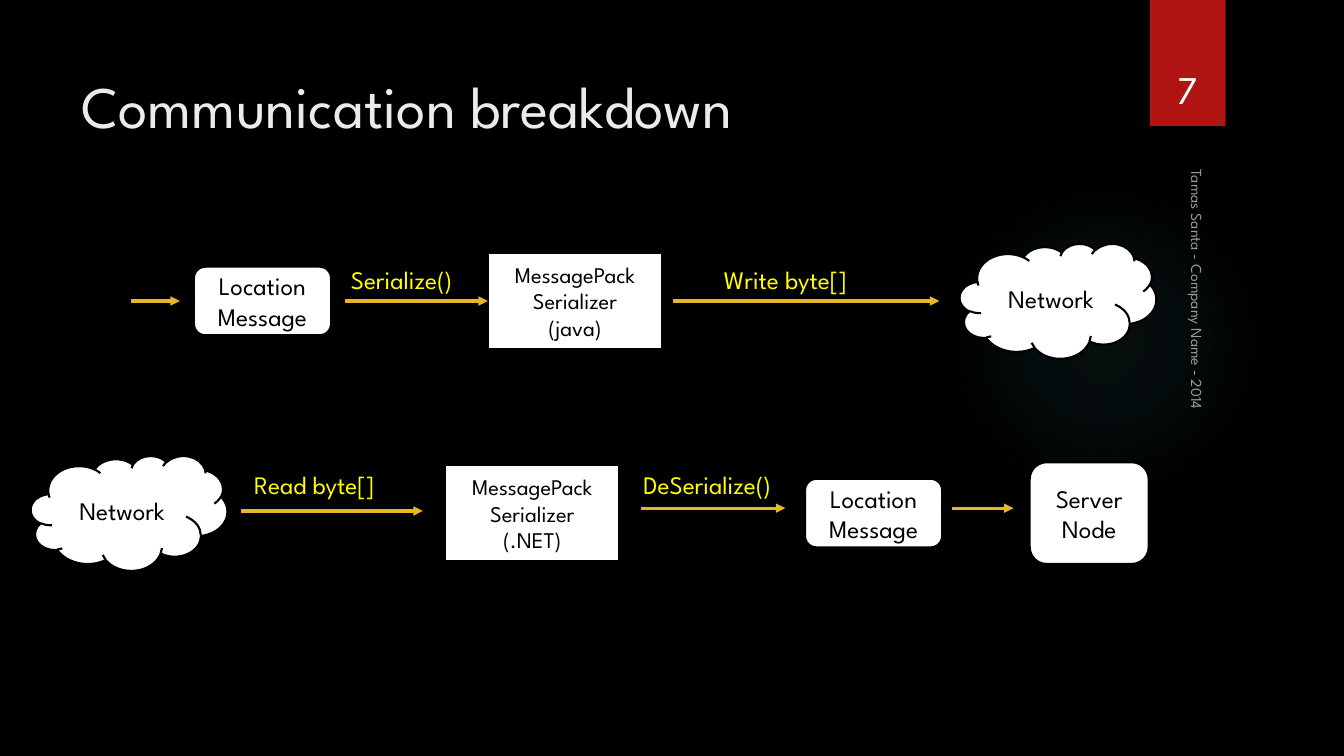
from dataclasses import dataclass
from lxml import etree
from pptx import Presentation
from pptx.dml.color import RGBColor
from pptx.enum.shapes import MSO_CONNECTOR, MSO_SHAPE
from pptx.enum.text import MSO_ANCHOR, PP_ALIGN
from pptx.oxml import parse_xml
from pptx.oxml.ns import nsdecls, qn
from pptx.util import Pt

RECT = MSO_SHAPE.RECTANGLE
ROUND = MSO_SHAPE.FLOWCHART_ALTERNATE_PROCESS
CLOUD = MSO_SHAPE.CLOUD
OVAL = MSO_SHAPE.OVAL
LINE = MSO_CONNECTOR.STRAIGHT
LEFT, CENTER = PP_ALIGN.LEFT, PP_ALIGN.CENTER
TOP, MIDDLE, BOTTOM = MSO_ANCHOR.TOP, MSO_ANCHOR.MIDDLE, MSO_ANCHOR.BOTTOM


@dataclass(frozen=True)
class Theme:
    font: str = "League Spartan"
    black: str = "000000"
    white: str = "FFFFFF"
    title: str = "EBEBEB"
    red: str = "B01513"
    gold: str = "E6B729"
    yellow: str = "FFFF00"
    glow: str = "50B9C1"
    head: int = 42
    page: int = 28
    body: int = 18
    small: int = 16
    foot: int = 11


THEME = Theme()


def color(name):
    return RGBColor.from_string(name)


def write(shape, text, size, ink, align=LEFT, anchor=TOP):
    frame = shape.text_frame
    frame.text = text
    frame.word_wrap = True
    frame.vertical_anchor = anchor
    for para in frame.paragraphs:
        para.alignment = align
        for run in para.runs:
            run.font.name = THEME.font
            run.font.size = Pt(size)
            run.font.color.rgb = color(ink)


def add_text(slide, box, *style):
    label = slide.shapes.add_textbox(*map(Pt, box))
    write(label, *style)
    return label


def add_shape(slide, kind, box, fill):
    shape = slide.shapes.add_shape(kind, *map(Pt, box))
    shape.shadow.inherit = False
    shape.fill.solid()
    shape.fill.fore_color.rgb = color(fill)
    shape.line.fill.background()
    return shape


def add_node(slide, kind, box, text, size):
    node = add_shape(slide, kind, box, THEME.white)
    node.line.color.rgb = color(THEME.black)
    node.line.width = Pt(1.5)
    write(node, text, size, THEME.black, CENTER, MIDDLE)


def add_arrow(slide, start, end, y):
    arrow = slide.shapes.add_connector(LINE, Pt(start), Pt(y), Pt(end), Pt(y))
    arrow.line.color.rgb = color(THEME.gold)
    arrow.line.width = Pt(2.25)
    tail = etree.SubElement(arrow.line._get_or_add_ln(), qn("a:tailEnd"))
    tail.set("type", "triangle")
    etree.SubElement(arrow._element.spPr, qn("a:effectLst"))


def add_glow(slide, box):
    glow = add_shape(slide, OVAL, box, THEME.glow)
    stops = "".join(
        f'<a:gs pos="{pos}000"><a:srgbClr val="{THEME.glow}">'
        f'<a:alpha val="{alpha}000"/></a:srgbClr></a:gs>'
        for pos, alpha in ((0, 7), (36, 6), (69, 0)))
    grad = parse_xml(
        f'<a:gradFill {nsdecls("a")}><a:gsLst>{stops}</a:gsLst>'
        '<a:path path="circle"><a:fillToRect l="50000" t="50000" '
        'r="50000" b="50000"/></a:path></a:gradFill>')
    props = glow._element.spPr
    props.replace(props.find(qn("a:solidFill")), grad)


def add_header(slide, box):
    left, top, width, height = box
    add_text(slide, (left, top + 36, 741, 78), "Communication breakdown",
             THEME.head, THEME.title, LEFT, MIDDLE)
    add_shape(slide, RECT, (left + width - 54, top, 54, height), THEME.red)
    add_text(slide, (left + width - 60.5, top + 23, 66, 60.5), "7",
             THEME.page, THEME.white, CENTER, BOTTOM)


def add_footer(slide, box):
    left, top, width, height = box
    turned = (left + (width - height) / 2, top + (height - width) / 2,
              height, width)
    foot = add_text(slide, turned, "Tamas Santa - Company Name - 2014",
                    THEME.foot, THEME.white, LEFT, BOTTOM)
    foot.rotation = 90
    for tint in foot._element.iter(qn("a:srgbClr")):
        etree.SubElement(tint, qn("a:alpha")).set("val", "60000")


def add_flow(slide, box, nodes, arrows, labels):
    left, top, height = box
    mid = top + height / 2
    sizes = {"Network": (CLOUD, 140.4, 82, THEME.body),
             "Location\nMessage": (ROUND, 98, 49, THEME.body),
             "Server Node": (ROUND, 85, 72.7, THEME.body)}
    serial = (RECT, 124.5, 68.4, THEME.small)
    for text, x in nodes:
        kind, wide, high, size = sizes.get(text, serial)
        add_node(slide, kind, (left + x, mid - high / 2, wide, high),
                 text, size)
    for start, end, shift in arrows:
        add_arrow(slide, left + start, left + end, mid + shift)
    for text, x, wide, shift in labels:
        add_text(slide, (left + x, mid + shift, wide, 29), text,
                 THEME.body, THEME.yellow)


def main():
    deck = Presentation()
    deck.slide_width, deck.slide_height = Pt(960), Pt(540)
    slide = deck.slides.add_slide(deck.slide_layouts[6])
    slide.background.fill.solid()
    slide.background.fill.fore_color.rgb = color(THEME.black)
    add_glow(slide, (677.5, 132, 222, 222))
    add_header(slide, (51, 0, 824.5, 90))
    add_footer(slide, (845, 114, 24, 304))
    add_flow(
        slide, (93.5, 174, 82),
        [("Location\nMessage", 45), ("MessagePack\nSerializer\n(java)", 255),
         ("Network", 592)],
        [(0, 35, 0), (153, 255, 0), (387, 577.5, 0)],
        [("Serialize()", 150, 98, -29.5), ("Write byte[]", 416.5, 175, -30)])
    add_flow(
        slide, (22, 325.5, 82),
        [("Network", 0), ("MessagePack\nSerializer\n(.NET)", 296),
         ("Location\nMessage", 553), ("Server Node", 713.5)],
        [(150, 280, -1.5), (436, 539, -3.5), (658, 702, -3.5)],
        [("Read byte[]", 152.5, 148, -34.5),
         ("DeSerialize()", 430.5, 132.5, -34.5)])
    deck.save("out.pptx")


if __name__ == "__main__":
    main()
